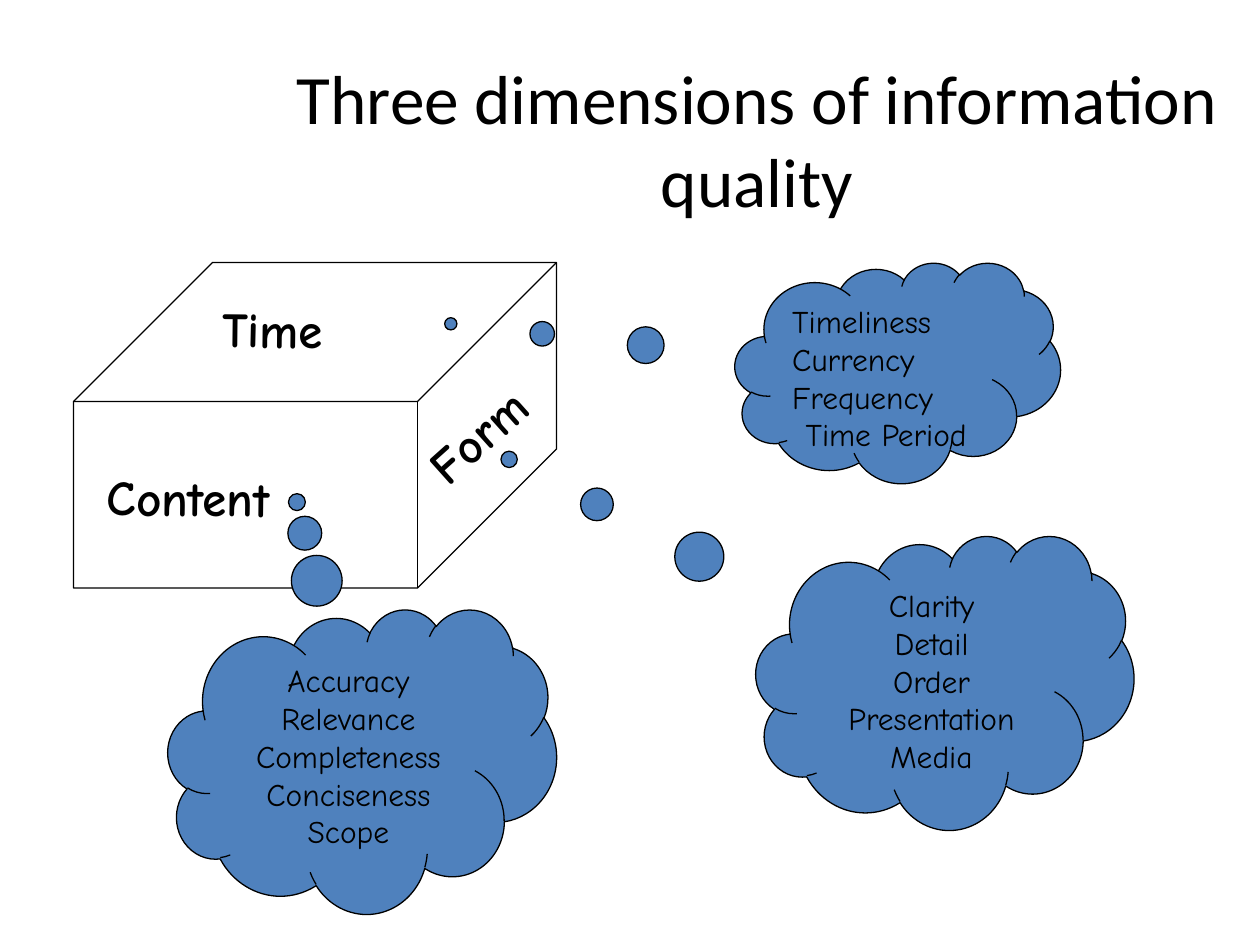
import dataclasses

import pptx
import pptx.dml.color
import pptx.enum.shapes
import pptx.enum.text
import pptx.util

Pt = pptx.util.Pt
ALIGN = pptx.enum.text.PP_ALIGN
ANCHOR = pptx.enum.text.MSO_ANCHOR
AUTO_SIZE = pptx.enum.text.MSO_AUTO_SIZE
SHAPE = pptx.enum.shapes.MSO_SHAPE


@dataclasses.dataclass(frozen=True)
class Theme:
    ink: str = "000000"
    cloud: str = "4F81BD"
    title_font: str = "Calibri"
    body_font: str = "Comic Neue"
    title_size: float = 39.6
    label_size: float = 28
    body_size: float = 18
    line_width: float = 0.75


class SlideBuilder:
    def __init__(self, slide, theme):
        self.slide = slide
        self.theme = theme

    def color(self, value):
        return pptx.dml.color.RGBColor.from_string(value)

    def format(self, paragraph, font, size, align, bold=False):
        paragraph.alignment = align
        paragraph.font.name = font
        paragraph.font.size = Pt(size)
        paragraph.font.bold = bold
        paragraph.font.color.rgb = self.color(self.theme.ink)

    def title(self, text, box):
        shape = self.slide.shapes.title
        shape.left, shape.top, shape.width, shape.height = map(Pt, box)
        frame = shape.text_frame
        frame.text = text
        frame.auto_size = AUTO_SIZE.NONE
        frame.vertical_anchor = ANCHOR.MIDDLE
        self.format(frame.paragraphs[0], self.theme.title_font,
                    self.theme.title_size, ALIGN.CENTER)

    def outline(self, shapes, kind, box, adjustments, fill=None):
        shape = shapes.add_shape(kind, *map(Pt, box))
        shape.shadow.inherit = False
        for index, value in enumerate(adjustments):
            shape.adjustments[index] = value
        if fill:
            shape.fill.solid()
            shape.fill.fore_color.rgb = self.color(fill)
        else:
            shape.fill.background()
        shape.line.color.rgb = self.color(self.theme.ink)
        shape.line.width = Pt(self.theme.line_width)
        return shape

    def thought(self, box, tail, lines):
        shape = self.outline(self.slide.shapes, SHAPE.CLOUD_CALLOUT, box, tail,
                             self.theme.cloud)
        frame = shape.text_frame
        frame.word_wrap = True
        frame.vertical_anchor = ANCHOR.TOP
        frame.text = "\n".join(text for text, _ in lines)
        for paragraph, (_, align) in zip(frame.paragraphs, lines):
            self.format(paragraph, self.theme.body_font, self.theme.body_size, align)

    def label(self, shapes, text, left, top, rotation):
        shape = shapes.add_textbox(Pt(left), Pt(top), Pt(170), Pt(41))
        shape.rotation = rotation
        frame = shape.text_frame
        frame.word_wrap = True
        frame.auto_size = AUTO_SIZE.SHAPE_TO_FIT_TEXT
        frame.text = text
        self.format(frame.paragraphs[0], self.theme.body_font,
                    self.theme.label_size, ALIGN.LEFT, bold=True)

    def labelled_cube(self, box, depth, labels):
        shapes = self.slide.shapes.add_group_shape().shapes
        self.outline(shapes, SHAPE.CUBE, box, [depth])
        for label in labels:
            self.label(shapes, *label)


def centered(*words):
    return [(word, ALIGN.CENTER) for word in words]


presentation = pptx.Presentation()
presentation.slide_width, presentation.slide_height = Pt(720), Pt(540)
title_only = presentation.slide_layouts[5]
builder = SlideBuilder(presentation.slides.add_slide(title_only), Theme())

# Title
builder.title("Three dimensions of information quality", (114, 24, 637, 110))

# Time qualities: a left-aligned list with a centred last line
time_lines = [(word, ALIGN.LEFT) for word in ("Timeliness", "Currency", "Frequency")]
builder.thought((420, 150, 186, 126), (-1.373, -0.222),
                time_lines + centered("Time Period"))

# Cube with one label on each visible face
builder.labelled_cube((42, 150, 276, 186), 0.427, [
    ("Time", 120, 168, 0.6),
    ("Content", 54, 264, 0.6),
    ("Form", 222, 198, 318.1),
])

# Form and content qualities
builder.thought((432, 306, 216, 168), (-1.153, -0.759),
                centered("Clarity", "Detail", "Order", "Presentation", "Media"))
builder.thought((96, 348, 222, 174), (-0.168, -0.851),
                centered("Accuracy", "Relevance", "Completeness", "Conciseness", "Scope"))

presentation.save("out.pptx")
